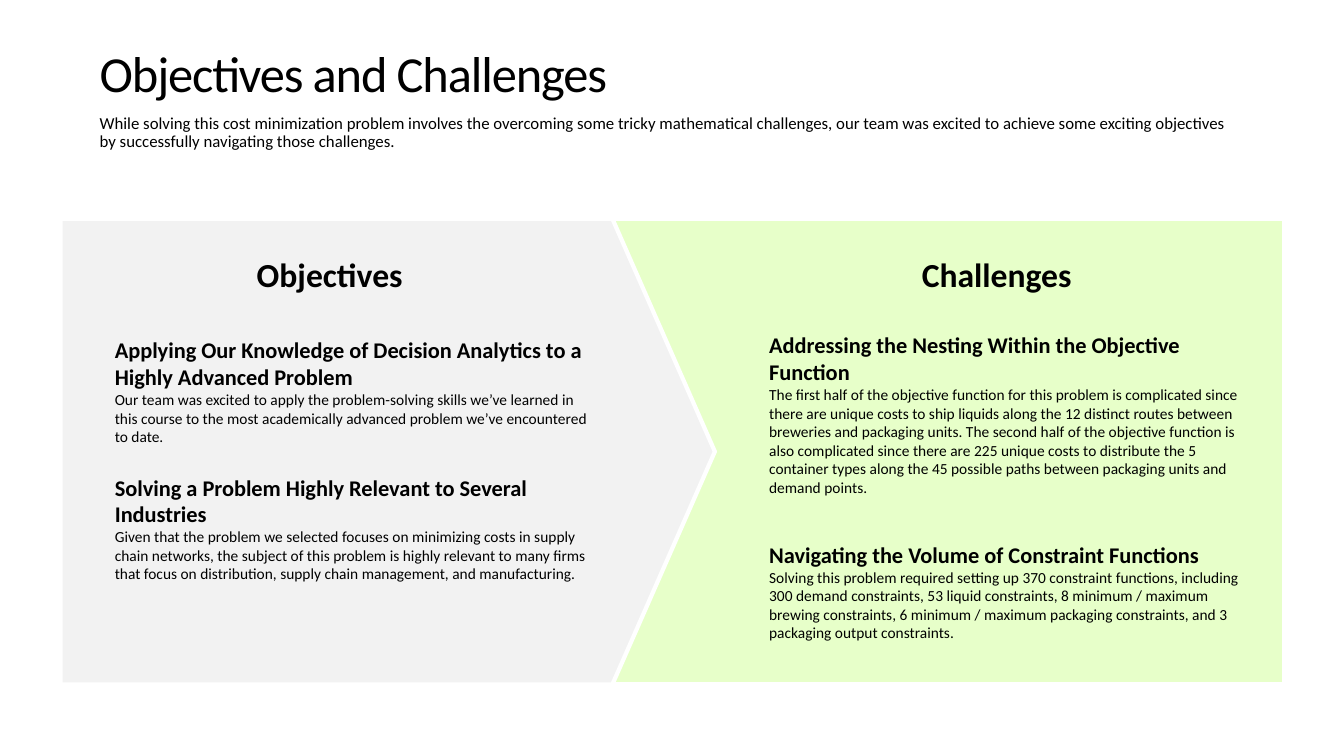
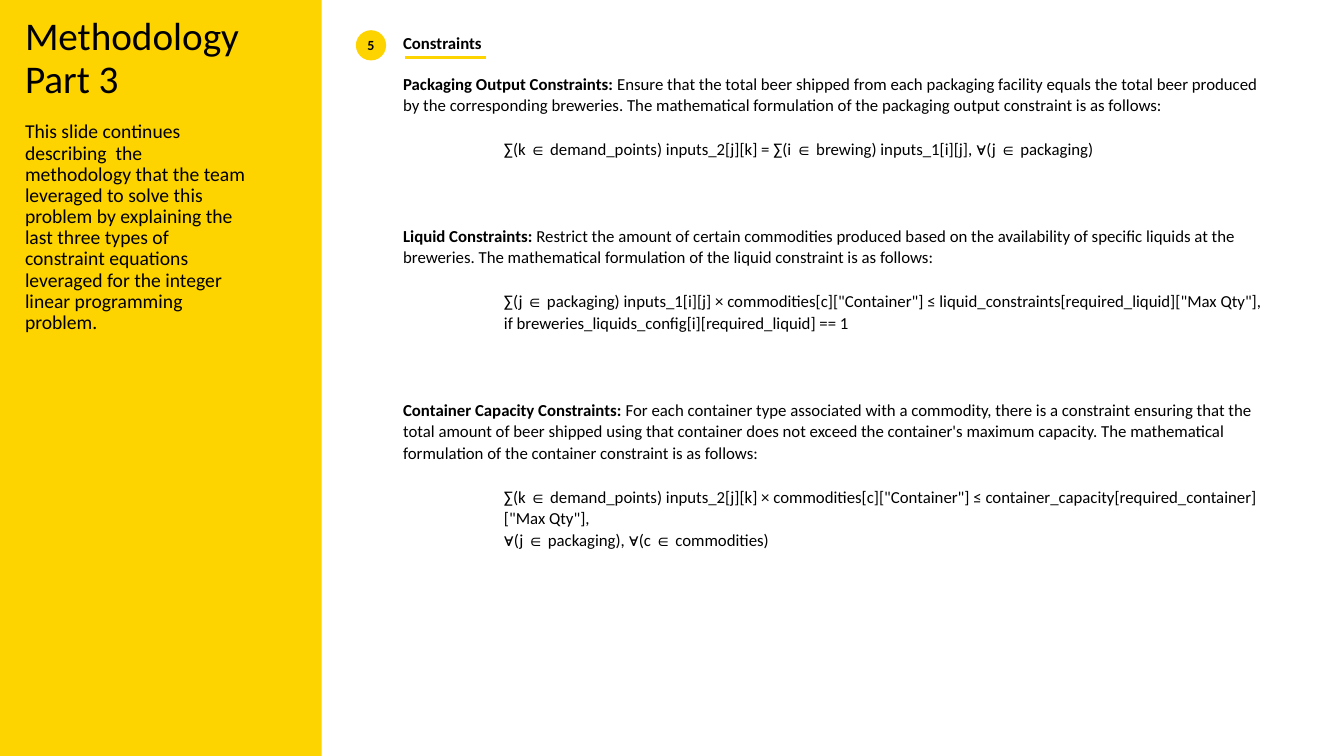
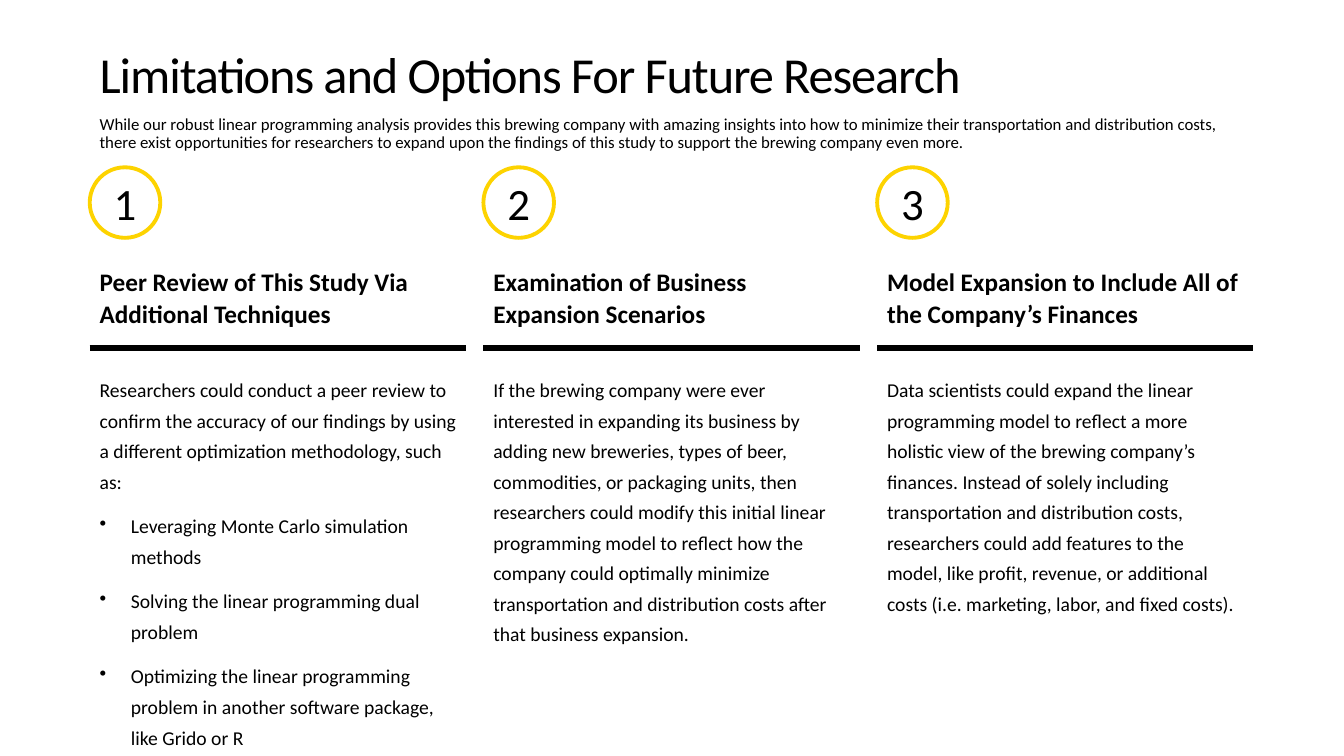
"""Build three slides on a brewing cost study: objectives, constraints and future research."""
from itertools import groupby

from lxml.etree import SubElement
from pptx import Presentation
from pptx.dml.color import RGBColor
from pptx.enum.shapes import MSO_CONNECTOR, MSO_SHAPE
from pptx.enum.text import MSO_ANCHOR, PP_ALIGN
from pptx.oxml.ns import qn
from pptx.util import Inches, Pt

BLACK, WHITE, YELLOW, GREY, GREEN = "000000", "FFFFFF", "FDD300", "F2F2F2", "E7FFC9"
TEXT_FONT, SYMBOL_FONT, SYMBOLS = "Calibri", "Times New Roman", "∈∀"
CENTER = {"alignment": PP_ALIGN.CENTER}

OBJECTIVES = {
    "title": "Objectives and Challenges",
    "intro": "While solving this cost minimization problem involves the overcoming some tricky mathematical "
             "challenges, our team was excited to achieve some exciting objectives by successfully navigating "
             "those challenges.",
    "headings": [("Objectives", (2.4, 2.47, 1.74, 0.5)), ("Challenges", (8.84, 2.47, 2.09, 0.5))],
    "points": [
        ((1.04, 3.29, 4.92, 1.19),
         "Applying Our Knowledge of Decision Analytics to a Highly Advanced Problem",
         "Our team was excited to apply the problem-solving skills we’ve learned in this course to the most "
         "academically advanced problem we’ve encountered to date."),
        ((1.04, 4.65, 4.92, 1.19),
         "Solving a Problem Highly Relevant to Several Industries",
         "Given that the problem we selected focuses on minimizing costs in supply chain networks, the subject "
         "of this problem is highly relevant to many firms that focus on distribution, supply chain "
         "management, and manufacturing."),
        ((7.53, 3.24, 4.92, 1.75),
         "Addressing the Nesting Within the Objective Function",
         "The first half of the objective function for this problem is complicated since there are unique "
         "costs to ship liquids along the 12 distinct routes between breweries and packaging units. The second "
         "half of the objective function is also complicated since there are 225 unique costs to distribute "
         "the 5 container types along the 45 possible paths between packaging units and demand points."),
        ((7.53, 5.32, 4.92, 1.11),
         "Navigating the Volume of Constraint Functions",
         "Solving this problem required setting up 370 constraint functions, including 300 demand constraints, "
         "53 liquid constraints, 8 minimum / maximum brewing constraints, 6 minimum / maximum packaging "
         "constraints, and 3 packaging output constraints."),
    ],
}

METHODOLOGY = {
    "title": "Methodology Part 3",
    "intro": "This slide continues describing  the methodology that the team leveraged to solve this problem by "
             "explaining the last three types of constraint equations leveraged for the integer linear "
             "programming problem.",
    "step": "5",
    "heading": "Constraints",
    "constraints": [
        ("Packaging Output Constraints: ",
         "Ensure that the total beer shipped from each packaging facility equals the total beer produced by the "
         "corresponding breweries. The mathematical formulation of the packaging output constraint is as "
         "follows:",
         ["∑(k ∈ demand_points) inputs_2[j][k] = ∑(i ∈ brewing) inputs_1[i][j], ∀(j ∈ packaging)"]),
        ("Liquid Constraints: ",
         "Restrict the amount of certain commodities produced based on the availability of specific liquids at "
         "the breweries. The mathematical formulation of the liquid constraint is as follows:",
         ['∑(j ∈ packaging) inputs_1[i][j] × commodities[c]["Container"] ≤ '
          'liquid_constraints[required_liquid]["Max Qty"],',
          "if breweries_liquids_config[i][required_liquid] == 1"]),
        ("Container Capacity Constraints: ",
         "For each container type associated with a commodity, there is a constraint ensuring that the total "
         "amount of beer shipped using that container does not exceed the container's maximum capacity. The "
         "mathematical formulation of the container constraint is as follows:",
         ['∑(k ∈ demand_points) inputs_2[j][k] × commodities[c]["Container"] ≤ '
          'container_capacity[required_container]["Max Qty"],',
          "∀(j ∈ packaging), ∀(c ∈ commodities)"]),
    ],
}

RESEARCH = {
    "title": "Limitations and Options For Future Research",
    "intro": "While our robust linear programming analysis provides this brewing company with amazing insights "
             "into how to minimize their transportation and distribution costs, there exist opportunities for "
             "researchers to expand upon the findings of this study to support the brewing company even more.",
    "options": [
        ("Peer Review of This Study Via Additional Techniques",
         "Researchers could conduct a peer review to confirm the accuracy of our findings by using a different "
         "optimization methodology, such as:",
         ["Leveraging Monte Carlo simulation methods",
          "Solving the linear programming dual problem",
          "Optimizing the linear programming problem in another software package, like Grido or R"]),
        ("Examination of Business Expansion Scenarios",
         "If the brewing company were ever interested in expanding its business by adding new breweries, types "
         "of beer, commodities, or packaging units, then researchers could modify this initial linear "
         "programming model to reflect how the company could optimally minimize transportation and "
         "distribution costs after that business expansion.",
         []),
        ("Model Expansion to Include All of the Company’s Finances",
         "Data scientists could expand the linear programming model to reflect a more holistic view of the "
         "brewing company’s finances. Instead of solely including transportation and distribution costs, "
         "researchers could add features to the model, like profit, revenue, or additional costs (i.e. "
         "marketing, labor, and fixed costs).",
         []),
    ],
}


def rgb(color):
    return RGBColor.from_string(color)


def set_all(target, values):
    for key, value in values.items():
        setattr(target, key, value)


def add_run(paragraph, words, size, bold=False, tracking=None):
    for is_symbol, letters in groupby(words, lambda letter: letter in SYMBOLS):
        run = paragraph.add_run()
        run.text = "".join(letters)
        set_all(run.font, {"name": SYMBOL_FONT if is_symbol else TEXT_FONT, "size": Pt(size), "bold": bold})
        run.font.color.rgb = rgb(BLACK)
        if tracking:
            run.font._element.set("spc", str(tracking))


def indent(paragraph, left, bullet=None):
    properties = paragraph._p.get_or_add_pPr()
    properties.set("marL", str(Inches(left)))
    if bullet:
        properties.set("indent", str(-Inches(left)))
        SubElement(properties, qn("a:buChar")).set("char", bullet)


def fill_frame(frame, paragraphs):
    """Each paragraph is (runs, layout), and each run is (words, size, bold, tracking) or its first part."""
    frame.word_wrap = True
    for index, (runs, layout) in enumerate(paragraphs):
        paragraph = frame.add_paragraph() if index else frame.paragraphs[0]
        set_all(paragraph, layout)
        for run in runs:
            add_run(paragraph, *run)
    return frame


def add_text(slide, box, *paragraphs):
    return fill_frame(slide.shapes.add_textbox(*map(Inches, box)).text_frame, paragraphs)


def add_panel(slide, preset, box, fill, outline=None, width=0):
    panel = slide.shapes.add_shape(preset, *map(Inches, box))
    panel.shadow.inherit = False
    panel.fill.solid()
    panel.fill.fore_color.rgb = rgb(fill)
    if outline:
        panel.line.color.rgb = rgb(outline)
        panel.line.width = Pt(width)
    else:
        panel.line.fill.background()
    return panel


def add_badge(slide, box, number, size, bold, *colors):
    frame = add_panel(slide, MSO_SHAPE.OVAL, box, *colors).text_frame
    sides = ("margin_left", "margin_right", "margin_top", "margin_bottom")
    set_all(frame, {**dict.fromkeys(sides, 0), "vertical_anchor": MSO_ANCHOR.MIDDLE})
    fill_frame(frame, [([(number, size, bold)], CENTER)])


def add_rule(slide, left, right, top, color, width):
    ends = map(Inches, (left, top, right, top))
    rule = slide.shapes.add_connector(MSO_CONNECTOR.STRAIGHT, *ends)
    rule.line.color.rgb = rgb(color)
    rule.line.width = Pt(width)
    SubElement(rule._element.spPr, qn("a:effectLst"))


def add_slide(deck):
    slide = deck.slides.add_slide(deck.slide_layouts[6])
    slide.background.fill.solid()
    slide.background.fill.fore_color.rgb = rgb(WHITE)
    return slide


def add_header(slide, content, top):
    tight = {"line_spacing": 0.9}
    add_text(slide, (0.89, top, 11.5, 0.55), ([(content["title"], 36, False, -80)], tight))
    add_text(slide, (0.89, top + 0.65, 11.5, 0.66), ([(content["intro"], 12)], tight))


def build_objectives(slide, content):
    add_panel(slide, MSO_SHAPE.RECTANGLE, (5.96, 2.17, 6.78, 4.62), GREEN, WHITE, 3)
    arrow = add_panel(slide, MSO_SHAPE.PENTAGON, (0.6, 2.17, 6.49, 4.62), GREY, WHITE, 3)
    arrow.adjustments[0] = 0.22
    add_header(slide, content, 0.44)
    for heading, box in content["headings"]:
        add_text(slide, box, ([(heading, 24, True)], CENTER))
    for box, point, detail in content["points"]:
        add_text(slide, box, ([(point, 16, True)], {}), ([(detail, 11)], {}))


def build_methodology(slide, content):
    tight = {"line_spacing": 0.9}
    add_panel(slide, MSO_SHAPE.RECTANGLE, (0, 0, 3.19, 7.5), YELLOW)
    add_text(slide, (0.15, 0.12, 2.46, 0.95), ([(content["title"], 28)], tight))
    add_text(slide, (0.15, 1.16, 2.46, 2.22), ([(content["intro"], 14)], tight))

    paragraphs, formula_rows = [([(content["heading"], 12, True)], tight)], []
    for index, (label, rule, formulas) in enumerate(content["constraints"]):
        gap = Pt(47 if index else 13.2)
        paragraphs.append(([(label, 12, True), (rule, 12)], {"line_spacing": 1.07, "space_before": gap}))
        for row, formula in enumerate(formulas):
            formula_rows.append(len(paragraphs))
            gap = Pt(0 if row else 15.7)
            paragraphs.append(([(formula, 12)], {"line_spacing": 1.07, "space_before": gap}))
    frame = add_text(slide, (3.9, 0.3, 8.74, 5.48), *paragraphs)
    for row in formula_rows:
        indent(frame.paragraphs[row], 1)

    add_rule(slide, 4.02, 4.82, 0.57, YELLOW, 2.25)
    add_badge(slide, (3.53, 0.3, 0.3, 0.3), content["step"], 10, True, YELLOW)


def build_research(slide, content):
    add_header(slide, content, 0.45)
    first, last = 0.89, 8.7
    step = (last - first) / (len(content["options"]) - 1)
    airy = {"line_spacing": 1.3, "space_before": Pt(10)}
    for index, (option, detail, techniques) in enumerate(content["options"]):
        left = first + index * step
        lines = [([(words, 14)], airy) for words in (detail, *techniques)]
        frame = add_text(slide, (left, 3.63, 3.74, 3.87), *lines)
        for technique in frame.paragraphs[1:]:
            indent(technique, 0.31, "•")
        add_rule(slide, left, left + 3.73, 3.45, BLACK, 4.5)
        add_text(slide, (left, 2.58, 3.69, 0.73), ([(option, 18, True)], {"line_spacing": 1.06}))
        add_badge(slide, (left, 1.66, 0.7, 0.7), str(index + 1), 32, False, WHITE, YELLOW, 2.75)


deck = Presentation()
set_all(deck, {"slide_width": Inches(13.33), "slide_height": Inches(7.5)})
for build, content in ((build_objectives, OBJECTIVES), (build_methodology, METHODOLOGY),
                       (build_research, RESEARCH)):
    build(add_slide(deck), content)
deck.save("out.pptx")
